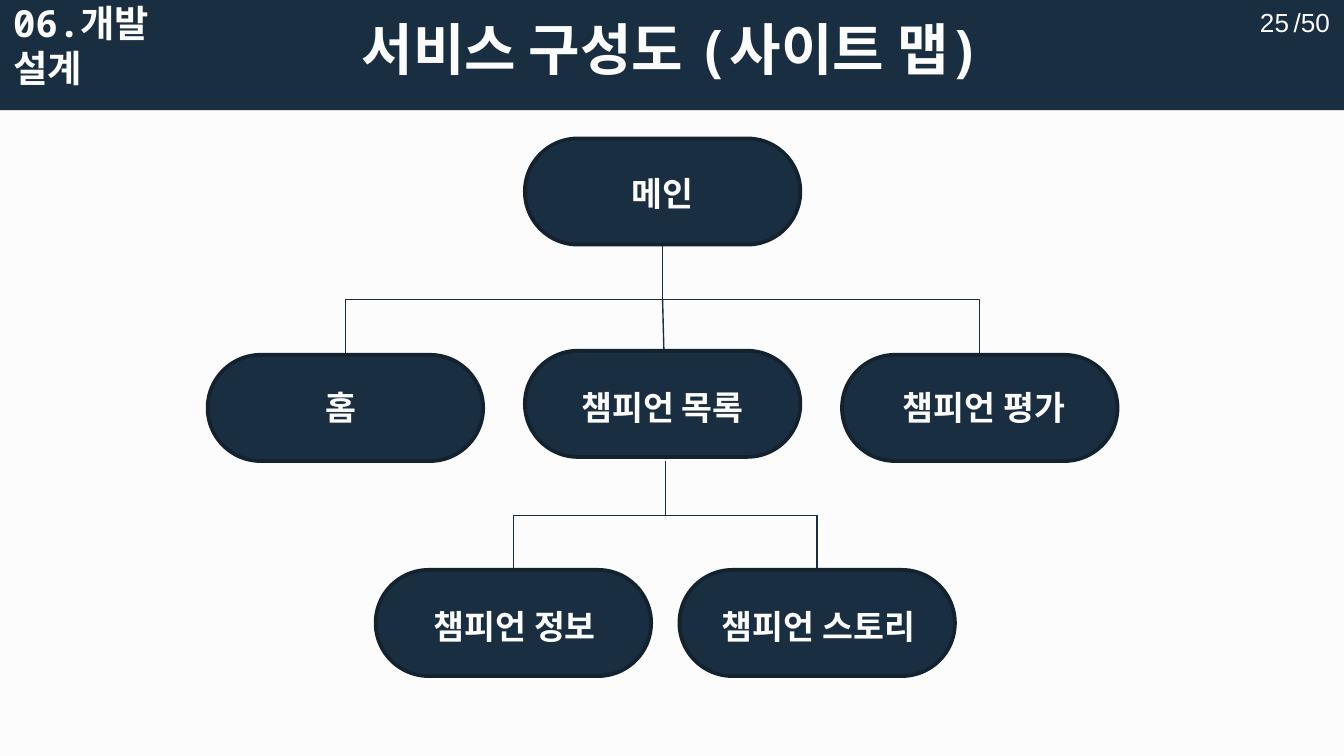
from lxml import etree
from pptx import Presentation
from pptx import util as u
from pptx.dml.color import RGBColor
from pptx.enum import shapes, text
from pptx.oxml import ns

COLORS = {"navy": "192E40", "edge": "12222F", "white": "FCFCFC"}
MONO, SANS, ARIAL = "Noto Sans Mono", "Noto Sans CJK KR", "Arial"
WIDTH = 10
HEIGHT = WIDTH * 9 / 16
NODE_WIDTH, NODE_HEIGHT = 2.05, 0.79
LABEL_WIDTH, LABEL_HEIGHT = 1.79, 0.4
CENTER, COLUMN_STEP, LABEL_STEP = 4.93, 2.36, 2.39
SUB_CENTER, SUB_STEP = 4.95, 1.13
NODE_TOPS = (1.03, 2.64, 4.24)
LABEL_TOPS = (1.24, 2.83, 4.46)
LIST_LIFT = 0.03


def color(name):
    return RGBColor.from_string(COLORS[name])


def inches(*lengths):
    return [u.Inches(length) for length in lengths]


def write(frame, wording, size, font, align, bold=True):
    para = frame.paragraphs[0]
    para.text = wording
    para.alignment = align
    para.font.size = u.Pt(size)
    para.font.bold = bold
    para.font.name = font
    para.font.color.rgb = color("white")
    props = para._p.pPr.find(ns.qn("a:defRPr"))
    props.set("kern", "0")
    etree.SubElement(props, ns.qn("a:ea")).set("typeface", SANS)


def add_block(page, kind, area, line=None):
    block = page.shapes.add_shape(kind, *inches(*area))
    block.shadow.inherit = False
    block.fill.solid()
    block.fill.fore_color.rgb = color("navy")
    if line:
        block.line.color.rgb = color(line)
        block.line.width = u.Pt(2)
    else:
        block.line.fill.background()
    return block


def add_label(page, wording, area, size, font, align, bold=True, wrap=True):
    box = page.shapes.add_textbox(*inches(*area))
    box.text_frame.word_wrap = wrap
    write(box.text_frame, wording, size, font, align, bold)


def add_node(page, wording, row, center, label_center, lift=0):
    area = (center - NODE_WIDTH / 2, NODE_TOPS[row] - lift, NODE_WIDTH, NODE_HEIGHT)
    node = add_block(page, shapes.MSO_SHAPE.ROUNDED_RECTANGLE, area, "edge")
    node.adjustments[0] = 0.5
    label_area = (label_center - LABEL_WIDTH / 2, LABEL_TOPS[row],
                  LABEL_WIDTH, LABEL_HEIGHT)
    add_label(page, wording, label_area, 18, SANS, text.PP_ALIGN.CENTER)


def add_line(page, kind, start, end):
    line = page.shapes.add_connector(kind, *inches(*start, *end))
    line.line.color.rgb = color("navy")
    line.line.width = u.Pt(0.75)
    etree.SubElement(line._element.spPr, ns.qn("a:effectLst"))
    return line


def add_branch(page, start, end):
    middle_x, middle_y = (start[0] + end[0]) / 2, (start[1] + end[1]) / 2
    half_run, half_drop = (end[0] - start[0]) / 2, (end[1] - start[1]) / 2
    branch = add_line(page, shapes.MSO_CONNECTOR.ELBOW,
                      (middle_x - half_drop, middle_y + half_run),
                      (middle_x + half_drop, middle_y - half_run))
    branch._element.spPr.find(ns.qn("a:xfrm")).set("rot", str(90 * 60000))


def add_header(page):
    band = add_block(page, shapes.MSO_SHAPE.RECTANGLE, (-0.05, -0.1, WIDTH + 0.1, 0.92))
    page.shapes._spTree.insert(2, band._element)
    title = page.shapes.title
    title.left, title.top, title.width, title.height = inches(0, -0.1, WIDTH, 0.92)
    frame = title.text_frame
    frame.auto_size = text.MSO_AUTO_SIZE.NONE
    frame.vertical_anchor = text.MSO_ANCHOR.MIDDLE
    frame.margin_top = frame.margin_bottom = u.Inches(0.1)
    write(frame, "서비스 구성도 (사이트 맵)", 30, MONO, text.PP_ALIGN.CENTER)
    add_label(page, "06.개발 설계", (0, -0.05, 1.78, 0.44), 20, MONO, text.PP_ALIGN.LEFT)
    add_label(page, "25", (9.21, 0, 0.48, 0.4), 14, ARIAL,
              text.PP_ALIGN.RIGHT, bold=False)
    add_label(page, "/50", (9.52, 0, 0.48, 0.4), 14, ARIAL,
              text.PP_ALIGN.CENTER, bold=False, wrap=False)


def add_site_map(page):
    main_bottom = NODE_TOPS[0] + NODE_HEIGHT
    for side in (1, -1):
        add_branch(page, (CENTER, main_bottom),
                   (CENTER + side * COLUMN_STEP, NODE_TOPS[1]))
        add_branch(page, (SUB_CENTER, NODE_TOPS[1] + NODE_HEIGHT),
                   (SUB_CENTER + side * SUB_STEP, NODE_TOPS[2]))
    add_line(page, shapes.MSO_CONNECTOR.STRAIGHT,
             (CENTER, (main_bottom + NODE_TOPS[1]) / 2),
             (CENTER + 0.01, NODE_TOPS[1] - LIST_LIFT))

    add_node(page, "메인", 0, CENTER, CENTER)
    add_node(page, "챔피언 목록", 1, CENTER, CENTER, LIST_LIFT)
    for side, wording in ((-1, "홈"), (1, "챔피언 평가")):
        add_node(page, wording, 1, CENTER + side * COLUMN_STEP, CENTER + side * LABEL_STEP)
    for side, wording in ((-1, "챔피언 정보"), (1, "챔피언 스토리")):
        center = SUB_CENTER + side * SUB_STEP
        add_node(page, wording, 2, center, center + 0.01)


def main():
    deck = Presentation()
    deck.slide_width, deck.slide_height = inches(WIDTH, HEIGHT)
    page = deck.slides.add_slide(deck.slide_layouts[5])
    page.background.fill.solid()
    page.background.fill.fore_color.rgb = color("white")
    add_header(page)
    add_site_map(page)
    deck.save("out.pptx")


if __name__ == "__main__":
    main()
